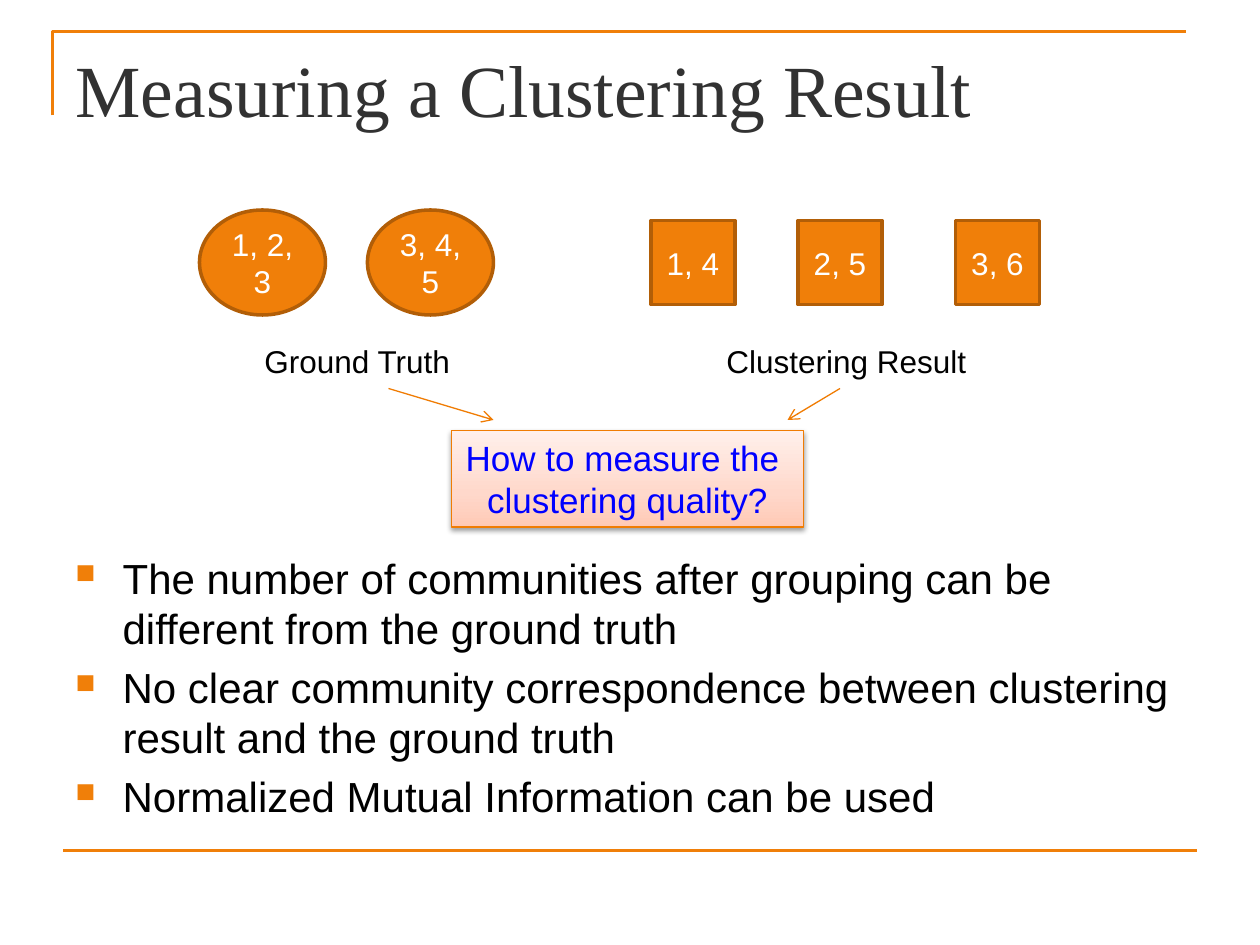
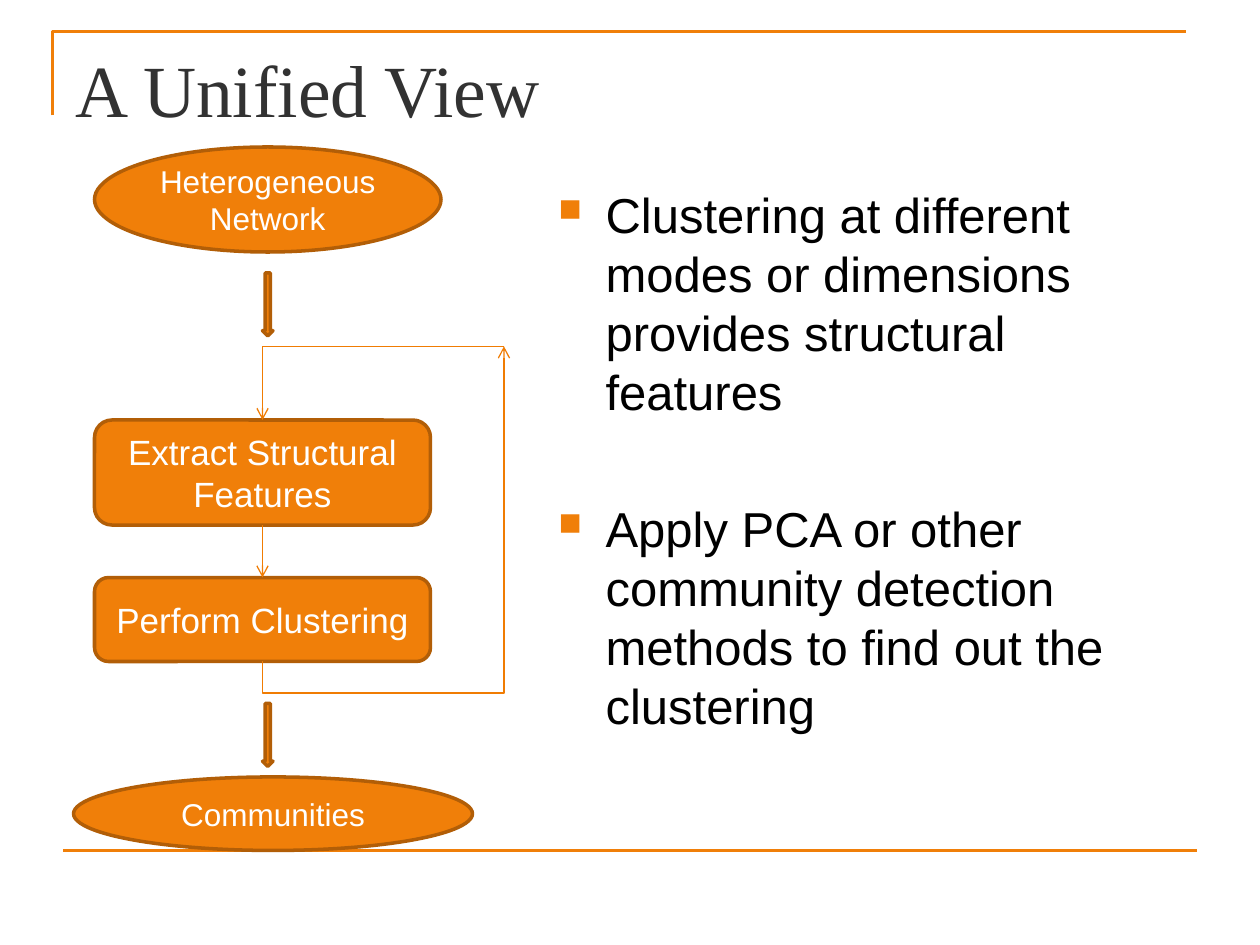
from dataclasses import dataclass

from lxml import etree
from pptx import Presentation
from pptx.dml.color import RGBColor
from pptx.enum.shapes import MSO_CONNECTOR, MSO_SHAPE
from pptx.enum.text import MSO_ANCHOR, MSO_AUTO_SIZE, PP_ALIGN
from pptx.oxml.ns import qn
from pptx.util import Emu, Pt

PX = 7620  # EMU per px: 120 px to the inch
TITLE_ONLY = 5
STRAIGHT, ELBOW = MSO_CONNECTOR.STRAIGHT, MSO_CONNECTOR.ELBOW
OVAL, RECT = MSO_SHAPE.OVAL, MSO_SHAPE.RECTANGLE
ROUNDED, DOWN_ARROW = MSO_SHAPE.ROUNDED_RECTANGLE, MSO_SHAPE.DOWN_ARROW
LEFT, CENTER = PP_ALIGN.LEFT, PP_ALIGN.CENTER
TOP, MIDDLE = MSO_ANCHOR.TOP, MSO_ANCHOR.MIDDLE
NO_FIT = MSO_AUTO_SIZE.NONE
BOTTOM_SIDE, TOP_SIDE = 2, 0


@dataclass(frozen=True)
class Theme:
    accent: str = "F07F09"
    outline: str = "B25E07"
    arrow: str = "F07C03"
    title: str = "323232"
    text: str = "000000"
    on_accent: str = "FFFFFF"
    question: str = "0000FF"
    question_stops: tuple = ((0, "FFC9B5"), (35, "FFD8CB"), (100, "FFF0EB"))
    title_font: str = "Times New Roman"
    font: str = "Arial"
    title_size: int = 42
    label_size: int = 18
    step_size: int = 20
    frame_width: float = 1.5
    outline_width: float = 2
    arrow_width: float = 0.75


@dataclass(frozen=True)
class Box:
    x: int
    y: int
    w: int
    h: int

    def emu(self) -> list[Emu]:
        return [Emu(v * PX) for v in (self.x, self.y, self.w, self.h)]


@dataclass(frozen=True)
class Node:
    kind: int
    box: Box
    text: str = ""
    size: int = 18


@dataclass(frozen=True)
class Elbow:
    preset: str
    box: Box
    transform: dict
    adjust: int | None = None


T = Theme()
TITLE_BOX = Box(60, 36, 1080, 150)
CORNER = [(50, 110), (50, 30), (1130, 30)]
FOOT_RULE = (60, 810, 1140, 810)


# Shared helpers
def rgb(value: str) -> RGBColor:
    return RGBColor.from_string(value)


def sub(parent, tag: str, **attrs):
    return etree.SubElement(parent, qn(tag), attrs)


def set_line(shape, color: str, width: float) -> None:
    shape.line.color.rgb = rgb(color)
    shape.line.width = Pt(width)


def write(tf, lines: list[str], size: int, color: str, font: str = T.font,
          align: int = LEFT) -> None:
    for i, line in enumerate(lines):
        p = tf.paragraphs[0] if i == 0 else tf.add_paragraph()
        p.text = line
        p.alignment = align
        p.font.name, p.font.size = font, Pt(size)
        p.font.color.rgb = rgb(color)


def style_connector(c, color: str, width: float, arrow: bool) -> None:
    set_line(c, color, width)
    sp_pr = c.element.spPr
    if arrow:
        sub(sp_pr.find(qn("a:ln")), "a:tailEnd", type="arrow")
    sub(sp_pr, "a:effectLst")


def add_line(s, ends: tuple, color: str = T.arrow,
             width: float = T.arrow_width, arrow: bool = True):
    c = s.shapes.add_connector(STRAIGHT, *(Emu(v * PX) for v in ends))
    style_connector(c, color, width, arrow)
    return c


def add_elbow(s, elbow: Elbow) -> None:
    x, y, w, h = elbow.box.emu()
    c = s.shapes.add_connector(ELBOW, x, y, x + w, y + h)
    sp_pr = c.element.spPr
    for name, value in elbow.transform.items():
        sp_pr.find(qn("a:xfrm")).set(name, value)
    geom = sp_pr.find(qn("a:prstGeom"))
    geom.set("prst", elbow.preset)
    if elbow.adjust is not None:
        sub(geom.find(qn("a:avLst")), "a:gd", name="adj1",
            fmla=f"val {elbow.adjust}")
    style_connector(c, T.arrow, T.arrow_width, arrow=True)


def add_node(s, node: Node):
    sp = s.shapes.add_shape(node.kind, *node.box.emu())
    sp.shadow.inherit = False
    sp.fill.solid()
    sp.fill.fore_color.rgb = rgb(T.accent)
    set_line(sp, T.outline, T.outline_width)
    if node.text:
        tf = sp.text_frame
        tf.word_wrap, tf.vertical_anchor = True, MIDDLE
        write(tf, [node.text], node.size, T.on_accent, align=CENTER)
    return sp


def add_label(s, box: Box, text: str) -> None:
    tf = s.shapes.add_textbox(*box.emu()).text_frame
    tf.word_wrap = False
    write(tf, [text], T.label_size, T.text)


def add_bullets(s, box: Box, items: list[str], size: int, gap: float) -> None:
    tf = s.shapes.add_textbox(*box.emu()).text_frame
    tf.word_wrap = True
    for i, item in enumerate(items):
        p = tf.paragraphs[0] if i == 0 else tf.add_paragraph()
        p.text = item
        p_pr = p._p.get_or_add_pPr()
        p_pr.set("marL", str(45 * PX))
        p_pr.set("indent", str(-45 * PX))
        sub(sub(p_pr, "a:buClr"), "a:srgbClr", val=T.accent)
        sub(p_pr, "a:buSzPct", val="65000")
        sub(p_pr, "a:buChar", char="■")
        if i:
            p.space_before = Pt(gap)
        p.font.name, p.font.size = T.font, Pt(size)
        p.font.color.rgb = rgb(T.text)


def new_slide(prs, title: str):
    """Add a slide with the corner rule, the foot rule and its title."""
    s = prs.slides.add_slide(prs.slide_layouts[TITLE_ONLY])
    (x, y), *rest = CORNER
    builder = s.shapes.build_freeform(x, y, scale=PX)
    builder.add_line_segments(rest, close=False)
    corner = builder.convert_to_shape()
    corner.fill.background()
    corner.shadow.inherit = False
    set_line(corner, T.accent, T.frame_width)
    add_line(s, FOOT_RULE, T.accent, T.frame_width, arrow=False)

    sp = s.shapes.title
    sp.left, sp.top, sp.width, sp.height = TITLE_BOX.emu()
    tf = sp.text_frame
    tf.vertical_anchor, tf.auto_size = TOP, NO_FIT
    write(tf, [title], T.title_size, T.title, T.title_font)
    return s


def add_question(s, box: Box, lines: list[str]) -> None:
    sp = s.shapes.add_shape(RECT, *box.emu())
    sp.shadow.inherit = False
    sp.fill.gradient()
    sp.fill.gradient_angle = 90
    set_line(sp, T.arrow, T.arrow_width)
    sp_pr = sp.element.spPr

    # Three gradient stops
    stops = sp_pr.find(f"{qn('a:gradFill')}/{qn('a:gsLst')}")
    for old in list(stops):
        stops.remove(old)
    for pos, color in T.question_stops:
        sub(sub(stops, "a:gs", pos=str(pos * 1000)), "a:srgbClr", val=color)

    # Soft shadow below
    shadow = sub(sp_pr.find(qn("a:effectLst")), "a:outerShdw",
                 blurRad=str(Pt(3.1)), dist=str(Pt(1.6)), dir="5400000",
                 rotWithShape="0")
    sub(sub(shadow, "a:srgbClr", val="000000"), "a:alpha", val="38000")

    tf = sp.text_frame
    tf.word_wrap, tf.vertical_anchor = False, TOP
    write(tf, lines, T.step_size, T.question, align=CENTER)


# Slide 1
def measuring_slide(prs) -> None:
    s = new_slide(prs, "Measuring a Clustering Result")
    add_bullets(s, Box(60, 520, 1080, 255), [
        "The number of communities after grouping can be different from "
        "the ground truth",
        "No clear community correspondence between clustering result and "
        "the ground truth",
        "Normalized Mutual Information can be used",
    ], size=24, gap=4.8)

    for x, members in ((190, "1, 2, 3"), (350, "3, 4, 5")):
        add_node(s, Node(OVAL, Box(x, 200, 120, 100), members))
    for x, members in ((620, "1, 4"), (760, "2, 5"), (910, "3, 6")):
        add_node(s, Node(RECT, Box(x, 210, 80, 80), members))

    add_label(s, Box(240, 320, 203, 48), "Ground Truth")
    add_label(s, Box(680, 320, 254, 48), "Clustering Result")
    add_question(s, Box(430, 410, 335, 92),
                 ["How to measure the ", "clustering quality?"])
    for ends in ((370, 370, 470, 400), (800, 370, 750, 400)):
        add_line(s, ends)


# Slide 2
def unified_slide(prs) -> None:
    s = new_slide(prs, "A Unified View")
    add_bullets(s, Box(520, 170, 590, 675), [
        "Clustering at different modes or dimensions provides structural "
        "features",
        "Apply PCA or other community detection methods to find out the "
        "clustering",
    ], size=28, gap=45)

    # Loop of two steps
    extract = add_node(s, Node(ROUNDED, Box(90, 400, 320, 100),
                               "Extract Structural Features", T.step_size))
    perform = add_node(s, Node(ROUNDED, Box(90, 550, 320, 80),
                               "Perform Clustering", T.step_size))
    step = add_line(s, (250, 500, 250, 550))
    step.begin_connect(extract, BOTTOM_SIDE)
    step.end_connect(perform, TOP_SIDE)
    add_elbow(s, Elbow("bentConnector3", Box(215, 365, 300, 230),
                       {"rot": "5400000", "flipH": "1", "flipV": "1"}, -10000))
    add_elbow(s, Elbow("bentConnector2", Box(250, 330, 230, 70),
                       {"rot": "10800000", "flipV": "1"}))

    # Input and output
    add_node(s, Node(OVAL, Box(90, 140, 330, 100), "Heterogeneous Network"))
    add_node(s, Node(OVAL, Box(70, 740, 380, 70), "Communities"))
    for y in (260, 670):
        add_node(s, Node(DOWN_ARROW, Box(250, y, 10, 60)))


def main() -> None:
    prs = Presentation()
    prs.slide_width, prs.slide_height = Emu(1200 * PX), Emu(900 * PX)
    measuring_slide(prs)
    unified_slide(prs)
    prs.save("out.pptx")


if __name__ == "__main__":
    main()
